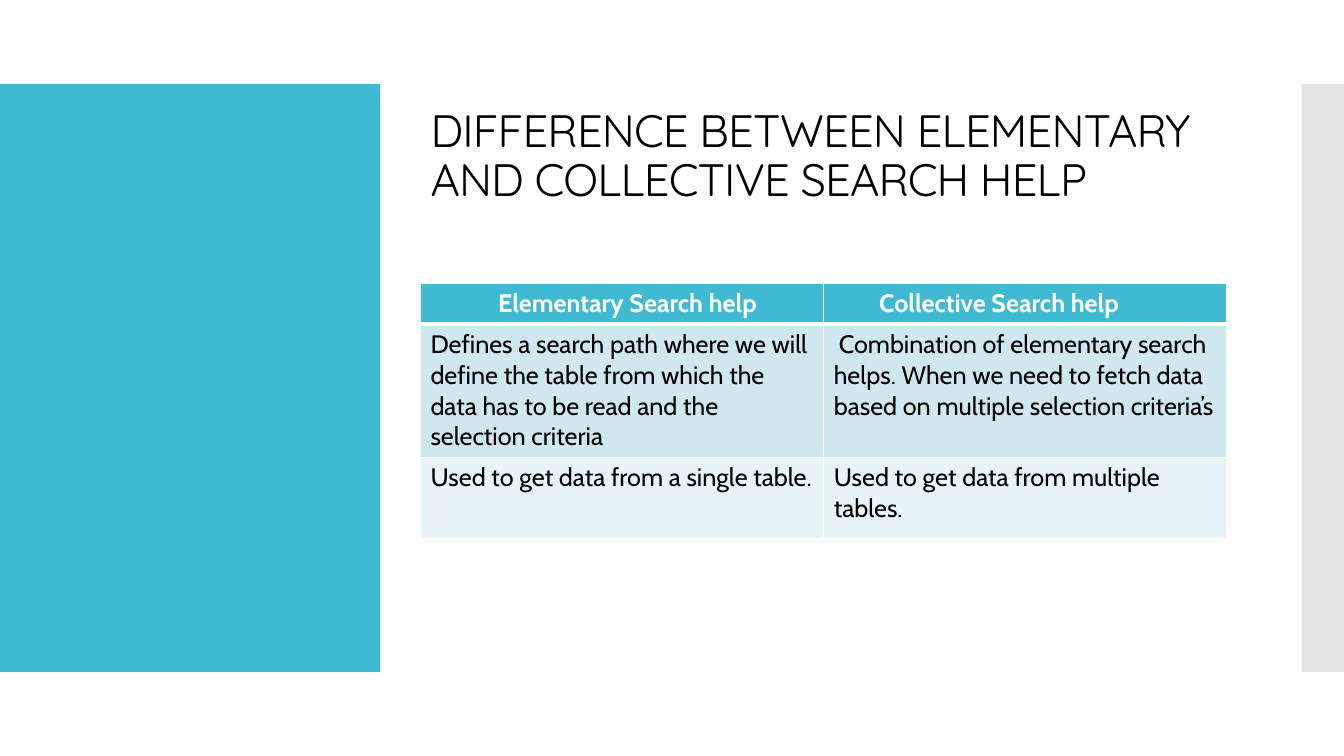
from lxml.etree import SubElement
from pptx import Presentation
from pptx.dml.color import RGBColor
from pptx.enum.shapes import MSO_SHAPE
from pptx.enum.text import MSO_ANCHOR, MSO_AUTO_SIZE, PP_ALIGN
from pptx.oxml.ns import qn
from pptx.util import Inches, Pt

# Content
TITLE = "DIFFERENCE BETWEEN ELEMENTARY AND COLLECTIVE SEARCH HELP"
ROWS = [
    ("Elementary Search help", "Collective Search help"),
    ("Defines a search path where we will define the table from which the "
     "data has to be read and the selection criteria",
     "Combination of elementary search helps. When we need to fetch data "
     "based on multiple selection criteria’s"),
    ("Used to get data from a single table.",
     "Used to get data from multiple tables."),
]

# Theme
THEME = {
    "accent": "40BAD2", "grey": "C8C8C8", "white": "FFFFFF", "black": "000000",
    "rows": ("40BAD2", "CFE7EE", "E8F3F7"),
    "title": {"name": "Quicksand", "size": Pt(32.4), "bold": False},
    "header": {"name": "Cabin", "size": Pt(18), "bold": True},
    "body": {"name": "Cabin", "size": Pt(18), "bold": False},
}

# Layout in inches
W, H = 13.33, 7.5
BAND_TOP, BAND_H = H / 9, H * 7 / 9
LEFT_W, RIGHT_W = 3.77, 0.42
BODY_X, BODY_W = 4.17, 8
TITLE_TOP, TITLE_H = 1.19, 0.74
TABLE_TOP, ROW_H = 2.81, (0.4, 1.31, 0.81)
HEADER_INSETS = (0.77, 0.55)
FIRST_LINE_INDENT = {(1, 1): 0.05}


def rgb(value):
    return RGBColor.from_string(value)


def style(r, font, color):
    for name, value in font.items():
        setattr(r.font, name, value)
    r.font.color.rgb = rgb(color)


def add_band(s, x, width, color):
    sp = s.shapes.add_shape(MSO_SHAPE.RECTANGLE, Inches(x), Inches(BAND_TOP),
                            Inches(width), Inches(BAND_H))
    sp.shadow.inherit = False
    sp.fill.solid()
    sp.fill.fore_color.rgb = rgb(color)
    sp.line.fill.background()
    return sp


def add_borders(cell, row):
    widths = {"lnL": 1, "lnR": 1, "lnT": 3 if row == 1 else 1,
              "lnB": 3 if row == 0 else 1}
    for tag, width in widths.items():
        ln = SubElement(cell._tc.get_or_add_tcPr(), qn(f"a:{tag}"), w=str(Pt(width)))
        fill = SubElement(ln, qn("a:solidFill"))
        SubElement(fill, qn("a:srgbClr"), val=THEME["white"])


def add_title(s):
    sp = s.shapes.title
    sp.left, sp.top = Inches(BODY_X), Inches(TITLE_TOP)
    sp.width, sp.height = Inches(BODY_W), Inches(TITLE_H)
    tf = sp.text_frame
    tf.word_wrap = True
    tf.auto_size = MSO_AUTO_SIZE.NONE
    tf.vertical_anchor = MSO_ANCHOR.MIDDLE
    p = tf.paragraphs[0]
    p.alignment, p.line_spacing = PP_ALIGN.LEFT, 0.9
    r = p.add_run()
    r.text = TITLE
    style(r, THEME["title"], THEME["black"])
    r._r.get_or_add_rPr().set("spc", "-60")


def add_comparison(s):
    cols = len(ROWS[0])
    table = s.shapes.add_table(len(ROWS), cols, Inches(BODY_X), Inches(TABLE_TOP),
                               Inches(BODY_W), Inches(sum(ROW_H))).table
    for i, texts in enumerate(ROWS):
        table.rows[i].height = Inches(ROW_H[i])
        for j, text in enumerate(texts):
            cell = table.cell(i, j)
            add_borders(cell, i)
            cell.fill.solid()
            cell.fill.fore_color.rgb = rgb(THEME["rows"][i])
            p = cell.text_frame.paragraphs[0]
            r = p.add_run()
            r.text = text
            if i == 0:
                cell.margin_left = Inches(HEADER_INSETS[j])
                style(r, THEME["header"], THEME["white"])
            else:
                style(r, THEME["body"], THEME["black"])
            if (i, j) in FIRST_LINE_INDENT:
                indent = Inches(FIRST_LINE_INDENT[i, j])
                p._p.get_or_add_pPr().set("indent", str(indent))


def main():
    prs = Presentation()
    prs.slide_width, prs.slide_height = Inches(W), Inches(H)
    s = prs.slides.add_slide(prs.slide_layouts[5])

    # Side bands, the right one half transparent
    add_band(s, 0, LEFT_W, THEME["accent"])
    right = add_band(s, W - RIGHT_W, RIGHT_W, THEME["grey"])
    color = right._element.spPr.find(qn("a:solidFill")).find(qn("a:srgbClr"))
    SubElement(color, qn("a:alpha"), val="50000")

    # Title and table
    add_title(s)
    add_comparison(s)
    prs.save("out.pptx")


if __name__ == "__main__":
    main()
